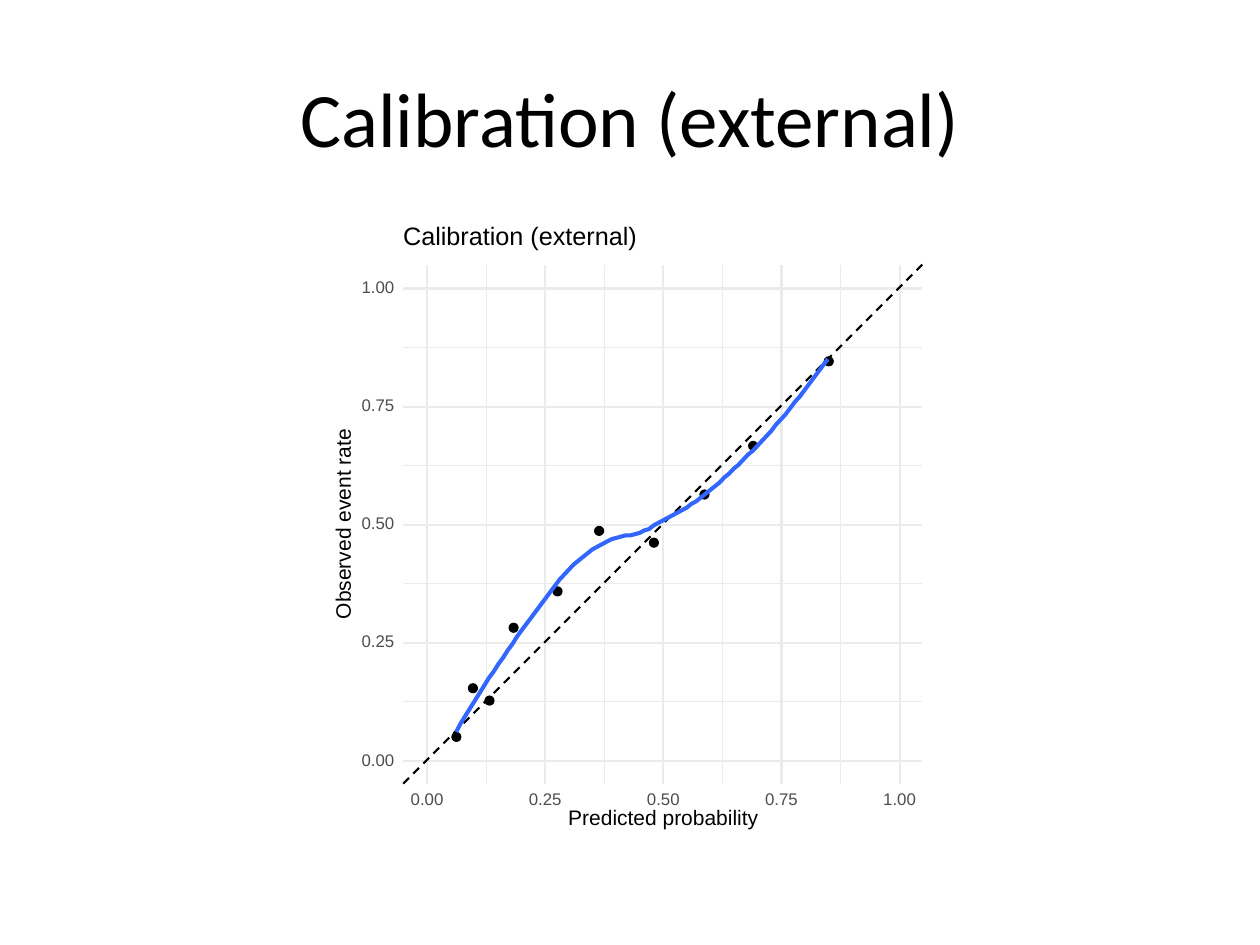
"""Build a slide with a calibration plot of observed against predicted event rates."""
from dataclasses import dataclass

from lxml.etree import SubElement
from pptx import Presentation
from pptx.dml.color import RGBColor
from pptx.enum.dml import MSO_LINE
from pptx.enum.shapes import MSO_CONNECTOR, MSO_SHAPE
from pptx.enum.text import MSO_ANCHOR, PP_ALIGN
from pptx.oxml.ns import qn
from pptx.util import Inches, Pt


@dataclass(frozen=True)
class Theme:
    black: RGBColor = RGBColor(0x00, 0x00, 0x00)
    grid: RGBColor = RGBColor(0xEB, 0xEB, 0xEB)
    tick: RGBColor = RGBColor(0x4D, 0x4D, 0x4D)
    curve: RGBColor = RGBColor(0x33, 0x66, 0xFF)
    title_font: str = "Calibri"
    plot_font: str = "Arial"
    title_size: float = 44
    heading_size: float = 14.4
    axis_size: float = 12
    tick_size: float = 9.6


theme = Theme()

LEFT, TOP, SIDE = 3.2, 2.1, 4.12
RIGHT, BOTTOM = LEFT + SIDE, TOP + SIDE
ORIGIN_X, ORIGIN_Y, UNIT = 3.39, 6.04, 3.75
DOT = 0.07

TICKS = [0, 0.25, 0.5, 0.75, 1]
RATES_PERCENT = [
    (6.2, 5.1), (9.7, 15.4), (13.2, 12.8), (18.3, 28.2), (27.6, 35.9),
    (36.4, 48.7), (48.0, 46.2), (58.7, 56.4), (69.0, 66.7), (85.0, 84.6),
]
CURVE_START, CURVE_END = 3.62, 6.57
CURVE_HEIGHTS = [
    5.81, 5.74, 5.68, 5.62, 5.56, 5.5, 5.44, 5.38, 5.33, 5.27,
    5.22, 5.16, 5.11, 5.05, 5, 4.95, 4.9, 4.85, 4.8, 4.75,
    4.7, 4.65, 4.6, 4.56, 4.52, 4.48, 4.45, 4.42, 4.39, 4.36,
    4.34, 4.32, 4.3, 4.28, 4.27, 4.26, 4.25, 4.25, 4.24, 4.23,
    4.21, 4.2, 4.17, 4.15, 4.13, 4.11, 4.09, 4.07, 4.05, 4.03,
    4, 3.98, 3.95, 3.92, 3.89, 3.86, 3.83, 3.79, 3.76, 3.72,
    3.69, 3.65, 3.61, 3.58, 3.54, 3.5, 3.46, 3.42, 3.37, 3.33,
    3.29, 3.24, 3.19, 3.15, 3.1, 3.05, 3, 2.95, 2.9, 2.85,
]


def add_line(shapes, start, end, color, width):
    line = shapes.add_connector(
        MSO_CONNECTOR.STRAIGHT, *[Inches(value) for value in (*start, *end)]
    )
    line.line.color.rgb = color
    line.line.width = Pt(width)
    SubElement(line._element.spPr, qn("a:effectLst"))
    return line


def add_label(shapes, text, bounds, size, color):
    box = shapes.add_textbox(*[Inches(value) for value in bounds])
    frame = box.text_frame
    frame.margin_left = frame.margin_right = frame.margin_top = frame.margin_bottom = 0
    frame.vertical_anchor = MSO_ANCHOR.MIDDLE
    frame.word_wrap = False
    paragraph = frame.paragraphs[0]
    paragraph.text = text
    paragraph.line_spacing = Pt(size)
    paragraph.font.name = theme.plot_font
    paragraph.font.size = Pt(size)
    paragraph.font.color.rgb = color
    return box


deck = Presentation()
deck.slide_width, deck.slide_height = Inches(10), Inches(7.5)
page = deck.slides.add_slide(deck.slide_layouts[5])

title = page.shapes.title
title.left, title.top = Inches(0.5), Inches(0.3)
title.width, title.height = Inches(9), Inches(1.25)
title.text_frame.text = "Calibration (external)"
title.text_frame.vertical_anchor = MSO_ANCHOR.MIDDLE
heading = title.text_frame.paragraphs[0]
heading.alignment = PP_ALIGN.CENTER
heading.font.name = theme.title_font
heading.font.size = Pt(theme.title_size)
heading.font.color.rgb = theme.black

plot = page.shapes.add_group_shape().shapes

midpoints = [tick + 0.125 for tick in TICKS[:-1]]
for positions, width in ((midpoints, 0.58), (TICKS, 1.16)):
    for position in positions:
        x, y = ORIGIN_X + UNIT * position, ORIGIN_Y - UNIT * position
        add_line(plot, (LEFT, y), (RIGHT, y), theme.grid, width)
        add_line(plot, (x, BOTTOM), (x, TOP), theme.grid, width)

diagonal = add_line(plot, (LEFT, BOTTOM), (RIGHT, TOP), theme.black, 1.16)
diagonal.line.dash_style = MSO_LINE.DASH

for predicted, observed in RATES_PERCENT:
    x = ORIGIN_X + UNIT * predicted / 100
    y = ORIGIN_Y - UNIT * observed / 100
    dot = plot.add_shape(
        MSO_SHAPE.OVAL, Inches(x - DOT / 2), Inches(y - DOT / 2), Inches(DOT), Inches(DOT)
    )
    dot.shadow.inherit = False
    dot.fill.solid()
    dot.fill.fore_color.rgb = theme.black
    dot.line.color.rgb = theme.black
    dot.line.width = Pt(0.77)

step = (CURVE_END - CURVE_START) / (len(CURVE_HEIGHTS) - 1)
curve_points = [
    (Inches(CURVE_START + step * index), Inches(height))
    for index, height in enumerate(CURVE_HEIGHTS)
]
builder = plot.build_freeform(*curve_points[0])
builder.add_line_segments(curve_points[1:], close=False)
curve = builder.convert_to_shape()
curve.shadow.inherit = False
curve.fill.background()
curve.line.color.rgb = theme.curve
curve.line.width = Pt(2.33)

for tick in TICKS:
    x, y = ORIGIN_X + UNIT * tick, ORIGIN_Y - UNIT * tick
    for left, top in ((2.87, y - 0.05), (x - 0.13, 6.3)):
        add_label(plot, f"{tick:.2f}", (left, top, 0.26, 0.1), theme.tick_size, theme.tick)

add_label(plot, "Predicted probability", (4.51, 6.43, 1.51, 0.15), theme.axis_size, theme.black)
vertical_title = add_label(
    plot, "Observed event rate", (1.98, 4.1, 1.51, 0.12), theme.axis_size, theme.black
)
vertical_title.rotation = 270
add_label(plot, "Calibration (external)", (LEFT, 1.79, 1.86, 0.19), theme.heading_size, theme.black)

deck.save("out.pptx")
